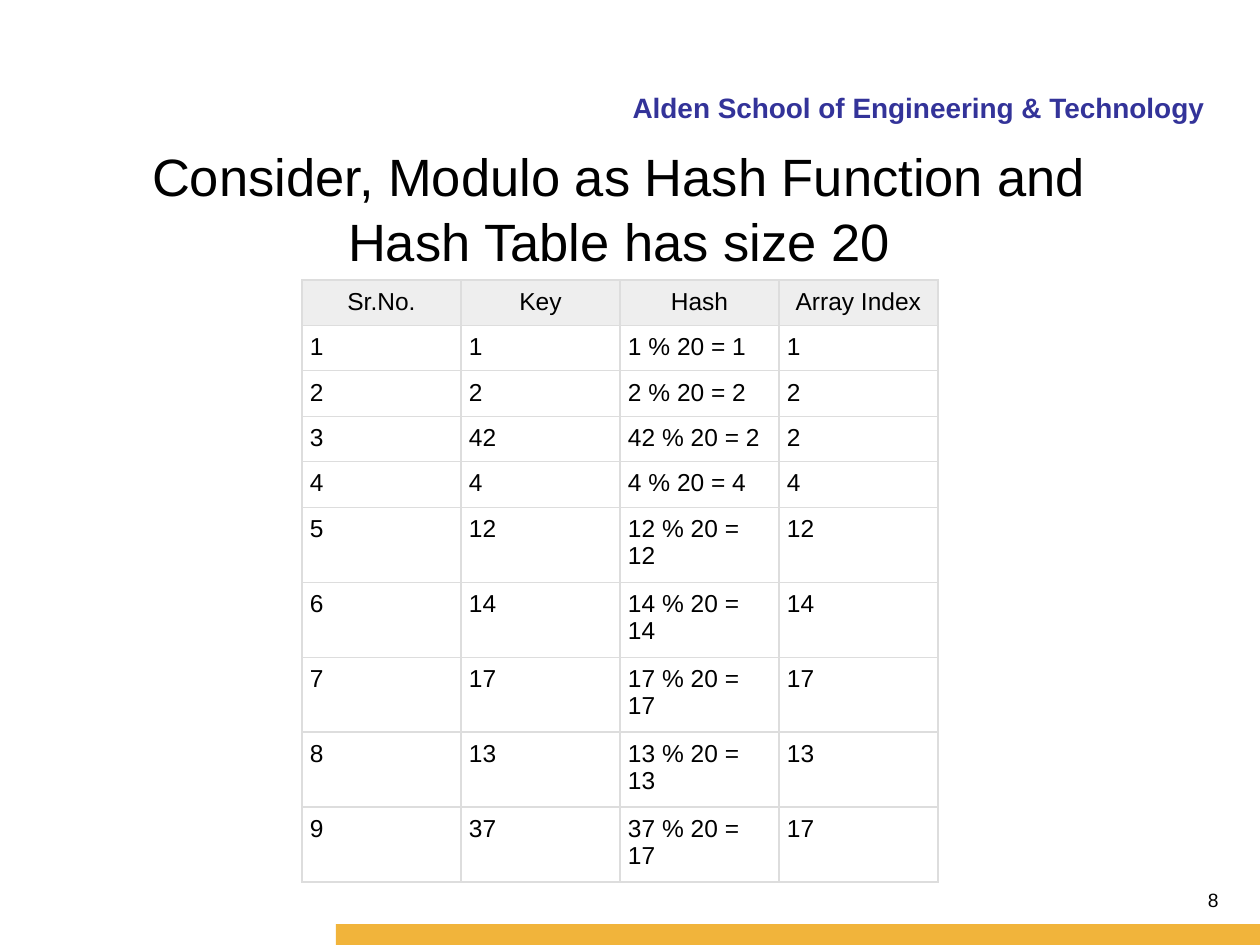
from lxml import etree
from pptx import Presentation
from pptx.dml.color import RGBColor
from pptx.enum.shapes import MSO_SHAPE
from pptx.enum.text import MSO_ANCHOR, PP_ALIGN
from pptx.oxml.ns import qn
from pptx.util import Pt

PX = 914400 / 126
BLACK = RGBColor(0x00, 0x00, 0x00)
NAVY = RGBColor(0x33, 0x33, 0x99)
AMBER = RGBColor(0xF1, 0xB4, 0x3B)
HEADER_GREY = RGBColor(0xEE, 0xEE, 0xEE)
BORDER_GREY = RGBColor(0xDD, 0xDD, 0xDD)


def px(*lengths):
    return [round(length * PX) for length in lengths]


def set_text(text_frame, text, size, align, color=BLACK, bold=False):
    text_frame.text = text
    text_frame.word_wrap = True
    paragraph = text_frame.paragraphs[0]
    paragraph.alignment = align
    font = paragraph.runs[0].font
    font.name, font.size, font.bold = "Arial", Pt(size), bold
    font.color.rgb = color


presentation = Presentation()
presentation.slide_width, presentation.slide_height = px(1260, 945)
slide = presentation.slides.add_slide(presentation.slide_layouts[6])
shapes = slide.shapes

# School name
school = shapes.add_textbox(*px(514, 84, 703, 42))
set_text(school.text_frame, "Alden School of Engineering & Technology", 16,
         PP_ALIGN.RIGHT, NAVY, True)

# Footer bar
bar = shapes.add_shape(MSO_SHAPE.RECTANGLE, *px(336, 924, 924, 21))
bar.shadow.inherit = False
bar.fill.solid()
bar.fill.fore_color.rgb = AMBER
bar.line.fill.background()

# Title
title = shapes.add_textbox(*px(76, 135, 1086, 183))
set_text(title.text_frame,
         "Consider, Modulo as Hash Function and Hash Table has size 20",
         30, PP_ALIGN.CENTER)
title.text_frame.paragraphs[0].line_spacing = 1.04

# Hash table: every index is the key modulo the table size
TABLE_SIZE = 20
keys = [1, 2, 42, 4, 12, 14, 17, 13, 37]
rows = [["Sr.No.", "Key", "Hash", "Array Index"]]
for number, key in enumerate(keys, 1):
    index = key % TABLE_SIZE
    rows.append([str(number), str(key), f"{key} % {TABLE_SIZE} = {index}", str(index)])

row_heights = px(*[45] * 5, *[75] * 5)
table = shapes.add_table(len(rows), 4, *px(302, 280, 636, 600)).table
table.first_row = table.horz_banding = False
for column in table.columns:
    column.width = px(159)[0]
for row, height in zip(table.rows, row_heights):
    row.height = height

for row_index, values in enumerate(rows):
    for column_index, value in enumerate(values):
        cell = table.cell(row_index, column_index)
        is_header = row_index == 0
        set_text(cell.text_frame, value, 14,
                 PP_ALIGN.CENTER if is_header else PP_ALIGN.LEFT)
        cell.vertical_anchor = MSO_ANCHOR.TOP
        (cell.margin_left, cell.margin_top,
         cell.margin_right, cell.margin_bottom) = px(8, 8, 8, 8)
        if is_header:
            cell.fill.solid()
            cell.fill.fore_color.rgb = HEADER_GREY
        else:
            cell.fill.background()
        # Borders come before the fill in the cell properties
        properties = cell._tc.get_or_add_tcPr()
        for position, side in enumerate(("a:lnL", "a:lnR", "a:lnT", "a:lnB")):
            border = etree.Element(qn(side), w=str(Pt(0.75)))
            fill = etree.SubElement(border, qn("a:solidFill"))
            etree.SubElement(fill, qn("a:srgbClr"), val=str(BORDER_GREY))
            properties.insert(position, border)

# Page number
page_number = shapes.add_textbox(*px(937, 882, 294, 66))
set_text(page_number.text_frame, "8", 11, PP_ALIGN.RIGHT)

presentation.save("out.pptx")
